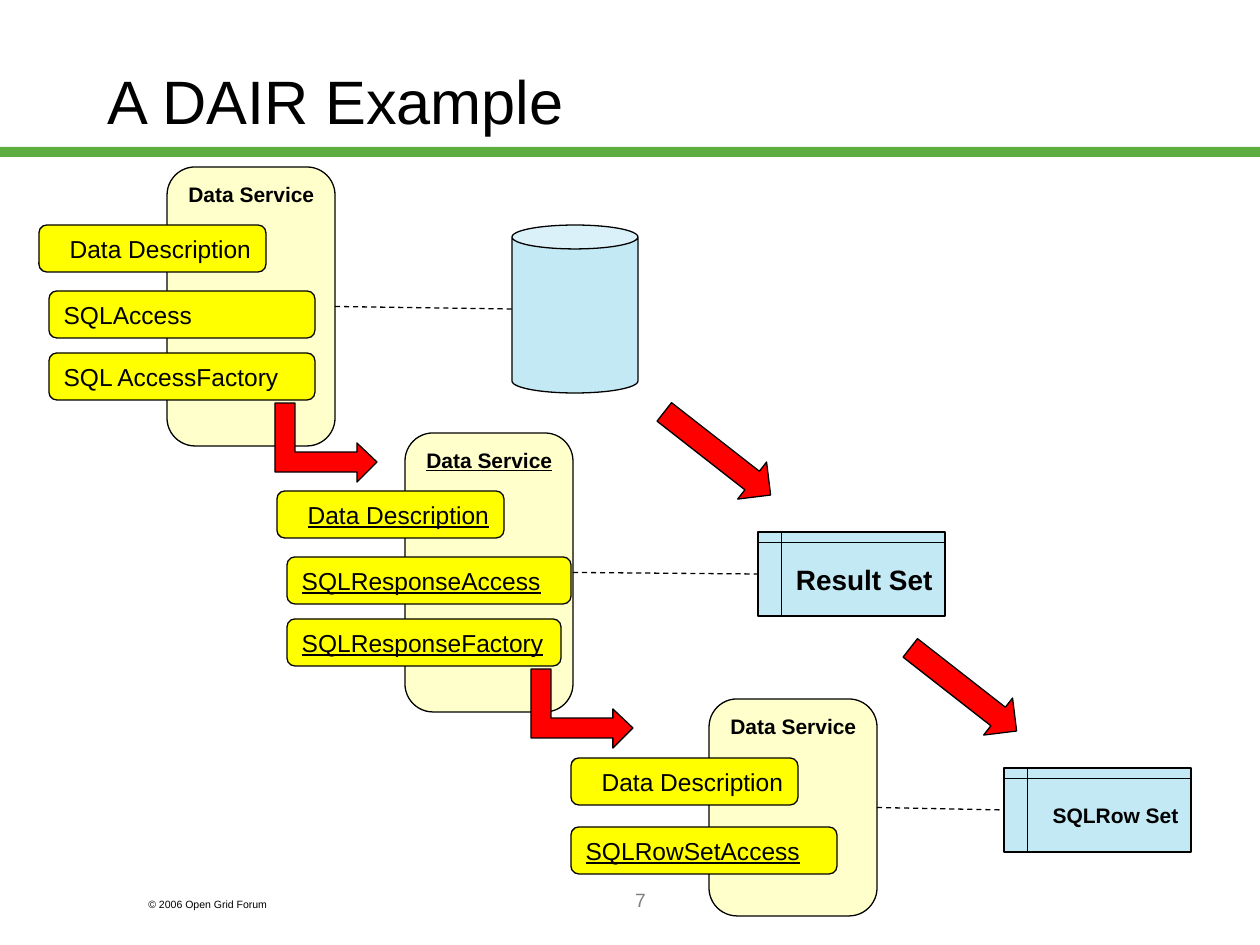
from lxml import etree
from pptx import Presentation
from pptx import util as u
from pptx.dml.color import RGBColor
from pptx.enum import dml, shapes, text
from pptx.oxml.ns import qn

PX = 914400 / 126
BLACK = RGBColor(0x00, 0x00, 0x00)
GREY = RGBColor(0x80, 0x80, 0x80)
GREEN = RGBColor(0x5D, 0xAD, 0x41)
CREAM = RGBColor(0xFF, 0xFF, 0xCC)
YELLOW = RGBColor(0xFF, 0xFF, 0x00)
BLUE = RGBColor(0xC3, 0xE9, 0xF5)
RED = RGBColor(0xFF, 0x00, 0x00)

KIND = shapes.MSO_SHAPE
LEFT, CENTER, RIGHT = text.PP_ALIGN.LEFT, text.PP_ALIGN.CENTER, text.PP_ALIGN.RIGHT
TOP, MIDDLE = text.MSO_ANCHOR.TOP, text.MSO_ANCHOR.MIDDLE


def paint(sp, fill):
    sp.shadow.inherit = False
    sp.fill.solid()
    sp.fill.fore_color.rgb = fill
    sp.line.color.rgb = BLACK
    sp.line.width = u.Pt(0.75)
    return sp


def write(sp, words, size, align=LEFT, anchor=MIDDLE, color=BLACK, bold=False, underline=False):
    tf = sp.text_frame
    tf.text = words
    tf.word_wrap = True
    tf.vertical_anchor = anchor
    p = tf.paragraphs[0]
    p.alignment = align
    f = p.runs[0].font
    f.name, f.size, f.bold, f.underline = "Arial", u.Pt(size), bold, underline
    f.color.rgb = color


prs = Presentation()
prs.slide_width, prs.slide_height = u.Inches(10), u.Inches(7.5)
s = prs.slides.add_slide(prs.slide_layouts[5])

# Title, rule and footer
title = s.shapes.title
title.left, title.top, title.width, title.height = [round(v * PX) for v in (95, 21, 1071, 158)]
write(title, "A DAIR Example", 35)

rule = paint(s.shapes.add_shape(KIND.RECTANGLE, *[round(v * PX) for v in (0, 147, 1260, 10)]), GREEN)
rule.line.fill.background()

for box, words, size, align, color in [
    ((136, 892, 189, 25), "© 2006 Open Grid Forum", 6, LEFT, BLACK),
    ((273, 882, 735, 63), "7", 11, CENTER, GREY),
]:
    tb = s.shapes.add_textbox(*[round(v * PX) for v in box])
    write(tb, words, size, align, TOP, color)

# Data held by each service
stores = []
for kind, box, words, size in [
    (KIND.CAN, (512, 225, 126, 168), None, None),
    (KIND.FLOWCHART_INTERNAL_STORAGE, (758, 532, 187, 84), "Result Set", 16),
    (KIND.FLOWCHART_INTERNAL_STORAGE, (1004, 768, 187, 84), "SQLRow Set", 12),
]:
    sp = paint(s.shapes.add_shape(kind, *[round(v * PX) for v in box]), BLUE)
    if words:
        write(sp, words, size, RIGHT, bold=True)
    else:
        sp.adjustments[0] = 0.19
    stores.append(sp)

# Services: card box, underlined heading, then bars of (left, top, width, words, align, underlined)
services = [
    ((167, 167, 168, 279), False, [
        (39, 225, 227, "Data Description", RIGHT, False),
        (49, 353, 266, "SQL AccessFactory", LEFT, False),
        (49, 291, 266, "SQLAccess", LEFT, False)]),
    ((405, 433, 168, 279), True, [
        (277, 491, 227, "Data Description", RIGHT, True),
        (287, 619, 274, "SQLResponseFactory", LEFT, True),
        (287, 557, 284, "SQLResponseAccess", LEFT, True)]),
    ((709, 699, 168, 217), False, [
        (571, 758, 227, "Data Description", RIGHT, False),
        (571, 827, 266, "SQLRowSetAccess", LEFT, True)]),
]
for (box, underlined, bars), store in zip(services, stores):
    card = paint(s.shapes.add_shape(KIND.ROUNDED_RECTANGLE, *[round(v * PX) for v in box]), CREAM)
    write(card, "Data Service", 12, RIGHT, TOP, bold=True, underline=underlined)

    link = s.shapes.add_connector(shapes.MSO_CONNECTOR.STRAIGHT, 0, 0,
                                  store.left, store.top + store.height // 2)
    link.begin_connect(card, 3)
    if store.auto_shape_type != KIND.CAN:
        link.end_connect(store, 1)
    link.line.color.rgb = BLACK
    link.line.width = u.Pt(0.75)
    link.line.dash_style = dml.MSO_LINE.DASH
    etree.SubElement(link._element.spPr, qn("a:effectLst"))

    for left, top, width, words, align, bar_underlined in bars:
        bar = paint(s.shapes.add_shape(KIND.ROUNDED_RECTANGLE,
                                       *[round(v * PX) for v in (left, top, width, 47)]), YELLOW)
        write(bar, words, 14, align, underline=bar_underlined)

# Arrows from one data set to the next
for left, top in [(650, 430), (896, 666)]:
    arrow = paint(s.shapes.add_shape(KIND.RIGHT_ARROW,
                                     *[round(v * PX) for v in (left, top, 135, 47)]), RED)
    arrow.rotation = 38

# Elbow arrows from a factory to the next service
ELBOW = [(0, 0), (20, 0), (20, 49), (82, 49), (82, 40), (102, 59), (82, 79), (82, 69), (0, 69)]
for left, top in [(275, 403), (531, 669)]:
    points = [(left + x, top + y) for x, y in ELBOW]
    fb = s.shapes.build_freeform(*points[0], scale=PX)
    fb.add_line_segments(points[1:], close=True)
    paint(fb.convert_to_shape(), RED)

prs.save("out.pptx")
